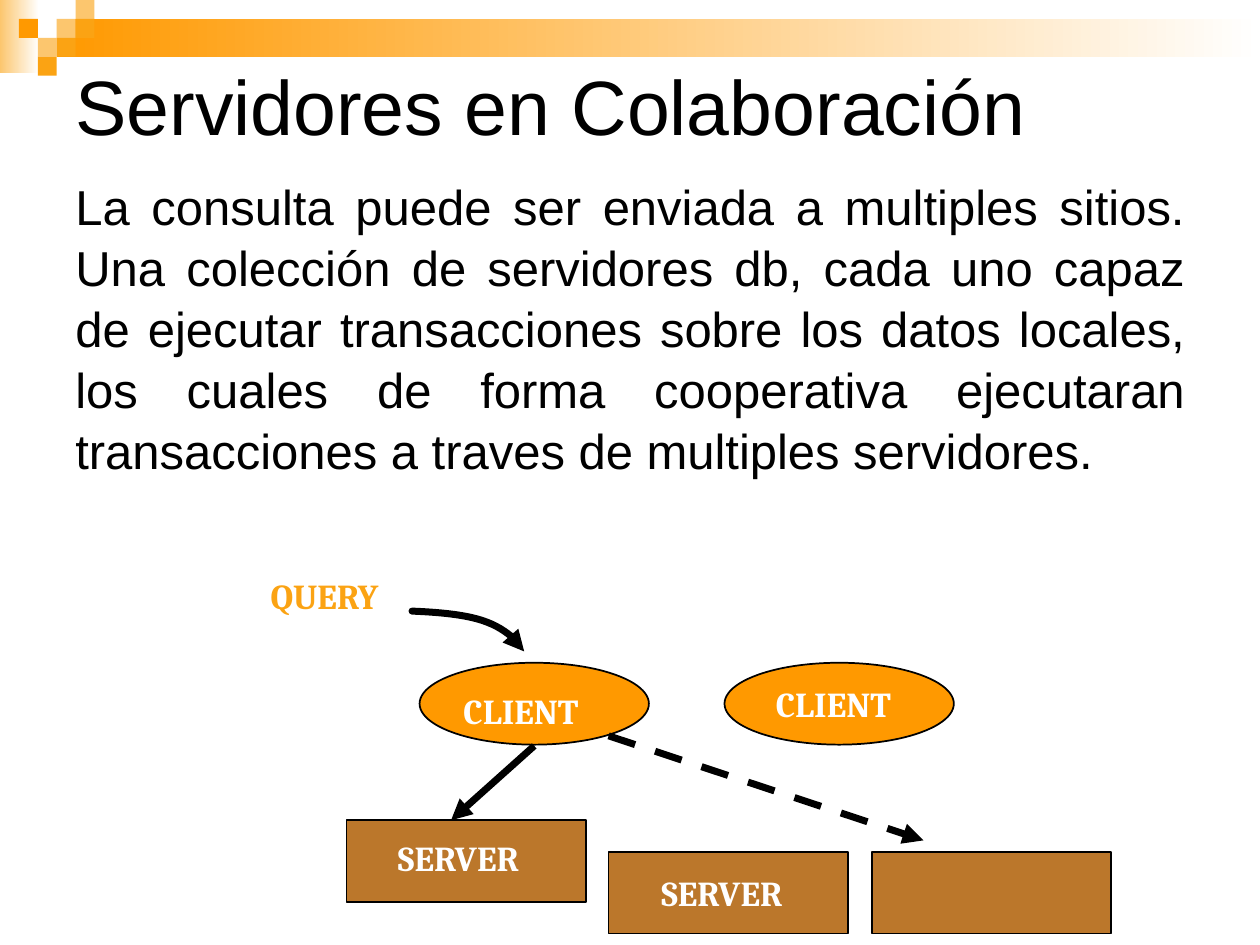
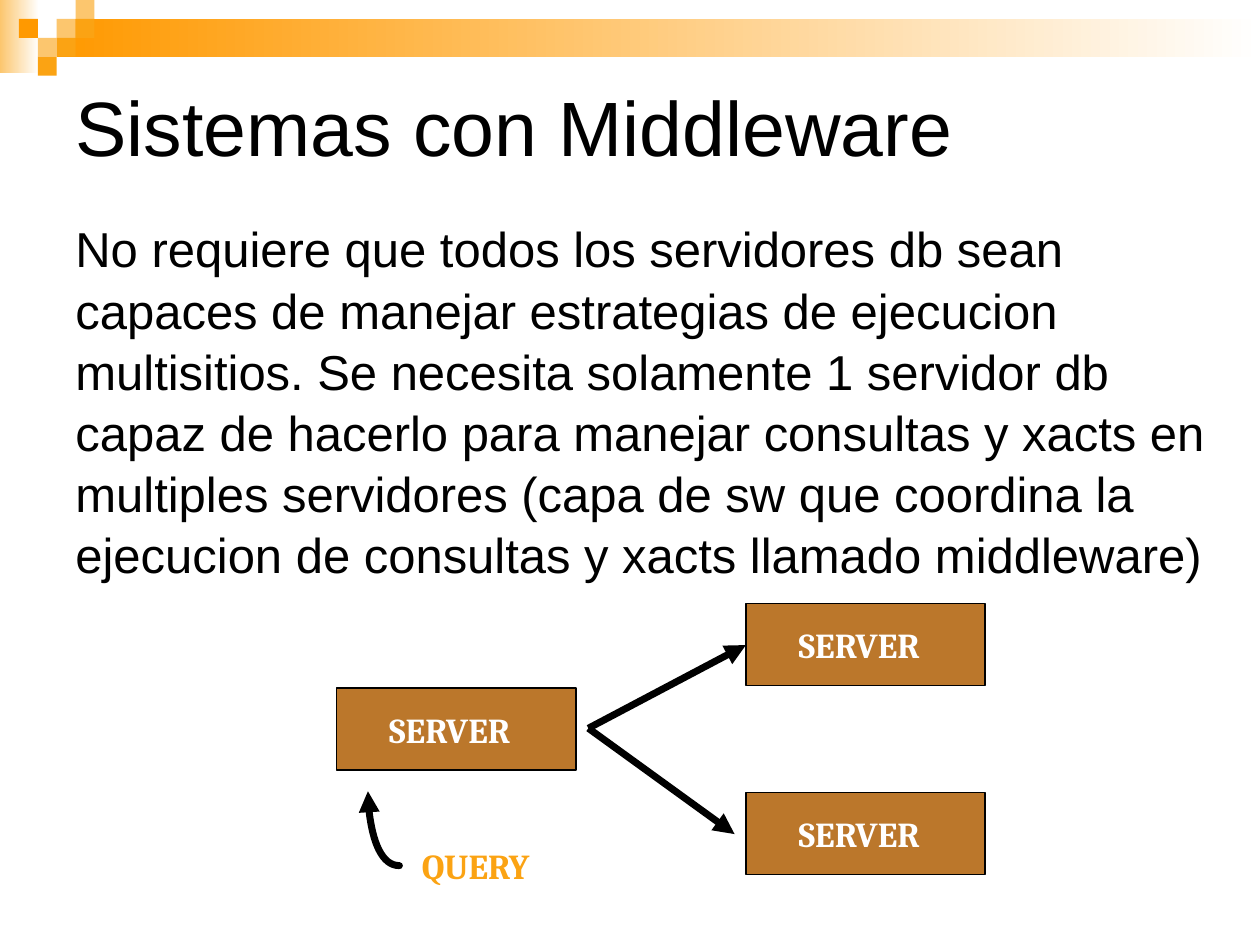
from dataclasses import dataclass

from lxml import etree
from pptx import Presentation
from pptx import util as u
from pptx.dml.color import RGBColor
from pptx.enum import dml, shapes, text
from pptx.oxml.ns import qn

CELL = u.Inches(0.1)  # the slide is 100 columns by 75 rows
COLUMNS, ROWS = 100, 75
BLACK, WHITE = "000000", "FFFFFF"
ORANGE, AMBER, PALE, BROWN = "FF9900", "FBA313", "FCC66E", "BB772B"
RECT, OVAL = shapes.MSO_SHAPE.RECTANGLE, shapes.MSO_SHAPE.OVAL
SERVER_SIZE, CLIENT_SIZE = (19, 6.5), (18.2, 6.5)
LABEL_OFFSET = (3.2, 1.1)


@dataclass
class Box:
    """An area in columns and rows."""
    left: float
    top: float
    width: float
    height: float

    def inner(self, left, top, width, height):
        return Box(self.left + left, self.top + top, width, height)

    def point(self, x, y):
        return grid(self.left + x), grid(self.top + y)

    def lengths(self):
        return [grid(n) for n in (self.left, self.top, self.width, self.height)]


def grid(cells):
    return round(cells * CELL)


def color(code):
    return RGBColor.from_string(code)


def add_shape(page, kind, box, fill, outlined=False):
    shape = page.shapes.add_shape(kind, *box.lengths())
    shape.shadow.inherit = False
    shape.fill.solid()
    shape.fill.fore_color.rgb = color(fill)
    if outlined:
        shape.line.color.rgb = color(BLACK)
        shape.line.width = u.Pt(1)
    else:
        shape.line.fill.background()
    return shape


def add_fade(page, box, start):
    fill = add_shape(page, RECT, box, start).fill
    fill.gradient()
    fill.gradient_angle = 0
    for stop, code in zip(fill.gradient_stops, (start, WHITE)):
        stop.color.rgb = color(code)


def add_text(page, box, words, size, font="Arial", code=BLACK, bold=False, wrap=True):
    """Add a one-paragraph text box and return its frame and paragraph."""
    frame = page.shapes.add_textbox(*box.lengths()).text_frame
    frame.word_wrap = wrap
    para = frame.paragraphs[0]
    span = para.add_run()
    span.text = words
    span.font.size = u.Pt(size)
    span.font.name = font
    span.font.bold = bold
    span.font.color.rgb = color(code)
    return frame, para


def add_label(page, box, words, code=WHITE, indent=0):
    _, para = add_text(page, box, words, 20, "Cambria", code, bold=True, wrap=False)
    para.alignment = text.PP_ALIGN.LEFT
    para._p.get_or_add_pPr().set("marL", str(grid(indent)))


def add_node(page, kind, box, fill, words, offset=LABEL_OFFSET):
    add_shape(page, kind, box, fill, outlined=True)
    if words:
        add_label(page, box.inner(*offset, 13.2, 4.3), words)


def add_server(page, area, at, words="SERVER", offset=LABEL_OFFSET):
    add_node(page, RECT, area.inner(*at, *SERVER_SIZE), BROWN, words, offset)


def add_client(page, area, at, offset):
    add_node(page, OVAL, area.inner(*at, *CLIENT_SIZE), ORANGE, "CLIENT", offset)


def style_arrow(line, dashed=False):
    line.color.rgb = color(BLACK)
    line.width = u.Pt(4)
    if dashed:
        line.dash_style = dml.MSO_LINE.DASH
    etree.SubElement(line._get_or_add_ln(), qn("a:tailEnd"), type="triangle")


def add_arrow(page, area, start, end, dashed=False):
    arrow = page.shapes.add_connector(
        shapes.MSO_CONNECTOR.STRAIGHT, *area.point(*start), *area.point(*end))
    style_arrow(arrow.line, dashed)
    etree.SubElement(arrow._element.spPr, qn("a:effectLst"))


def add_curved_arrow(page, area, start, *controls_and_end):
    """Draw one cubic curve: a start, two controls and an end."""
    builder = page.shapes.build_freeform(*area.point(*start))
    builder.add_line_segments([area.point(*p) for p in controls_and_end], close=False)
    arrow = builder.convert_to_shape()
    segments = list(arrow._element.iter(qn("a:lnTo")))
    curve = etree.SubElement(segments[0].getparent(), qn("a:cubicBezTo"))
    for segment in segments:
        curve.append(segment[0])
        segment.getparent().remove(segment)
    arrow.shadow.inherit = False
    arrow.fill.background()
    style_arrow(arrow.line)
    arrow.line._get_or_add_ln().set("cap", "rnd")


def add_header(page):
    add_fade(page, Box(0, 0, 3.1, 5.8), PALE)
    add_fade(page, Box(4.5, 1.5, 95.5, 3), ORANGE)
    side = 1.5
    squares = [(3, 1, PALE), (4, 0, PALE), (4, 1, AMBER), (2, 2, PALE),
               (1, 1, ORANGE), (3, 2, AMBER), (2, 3, AMBER)]
    for column, row, fill in squares:
        add_shape(page, RECT, Box(column * side, row * side, side, side), fill)


def add_page(deck, title, title_box, body, body_box, alignment):
    page = deck.slides.add_slide(deck.slide_layouts[6])
    add_header(page)
    frame, _ = add_text(page, title_box, title, 44)
    frame.vertical_anchor = text.MSO_ANCHOR.MIDDLE
    _, para = add_text(page, body_box, body, 28)
    para.alignment = alignment
    para.line_spacing = 1.04
    para.space_before = u.Pt(2)
    return page


def draw_collaboration(page, area):
    add_label(page, area.inner(0, 0, 14.2, 4.3), "QUERY", AMBER, 1.3)
    add_client(page, area, (14.1, 7.5), (2.5, 1.6))
    add_client(page, area, (38.3, 7.5), (3.1, 1.1))
    add_server(page, area, (8.3, 20), offset=(3.1, 0.8))
    add_server(page, area, (29.1, 22.5))
    add_server(page, area, (50, 22.5), words="")
    add_curved_arrow(page, area, (13.5, 3.4), (18.3, 3.6), (21.3, 4.6), (22.4, 6.6))
    add_arrow(page, area, (23.2, 14.1), (16.6, 20))
    add_arrow(page, area, (29.1, 13.3), (54.1, 21.6), dashed=True)


def draw_middleware(page, area):
    for at in ((0, 6.7), (32.5, 0), (32.5, 15)):
        add_server(page, area, at)
    add_label(page, area.inner(0.8, 18.6, 17, 4.3), "QUERY", AMBER, 5)
    for end in ((32.5, 3.3), (31.6, 18.3)):
        add_arrow(page, area, (20, 9.9), end)
    add_curved_arrow(page, area, (5, 20.8), (3.6, 20.8), (2.5, 18.1), (2.5, 14.9))


def main():
    deck = Presentation()
    deck.slide_width, deck.slide_height = grid(COLUMNS), grid(ROWS)

    page = add_page(
        deck, "Servidores en Colaboración", Box(5, 4.2, 90, 8.3),
        "La consulta puede ser enviada a multiples sitios. Una colección de "
        "servidores db, cada uno capaz de ejecutar transacciones sobre los datos "
        "locales, los cuales de forma cooperativa ejecutaran transacciones a "
        "traves de multiples servidores.",
        Box(5, 13.3, 90, 26.7), text.PP_ALIGN.JUSTIFY)
    draw_collaboration(page, Box(19.2, 45.1, 69, 29))

    page = add_page(
        deck, "Sistemas con Middleware", Box(5, 5, 90, 10),
        "No requiere que todos los servidores db sean capaces de manejar "
        "estrategias de ejecucion multisitios. Se necesita solamente 1 servidor db "
        "capaz de hacerlo para manejar consultas y xacts en multiples servidores "
        "(capa de sw que coordina la ejecucion de consultas y xacts llamado "
        "middleware)",
        Box(5, 16.7, 92.5, 29.2), text.PP_ALIGN.LEFT)
    draw_middleware(page, Box(26.7, 47.9, 51.5, 22.9))

    deck.save("out.pptx")


if __name__ == "__main__":
    main()
